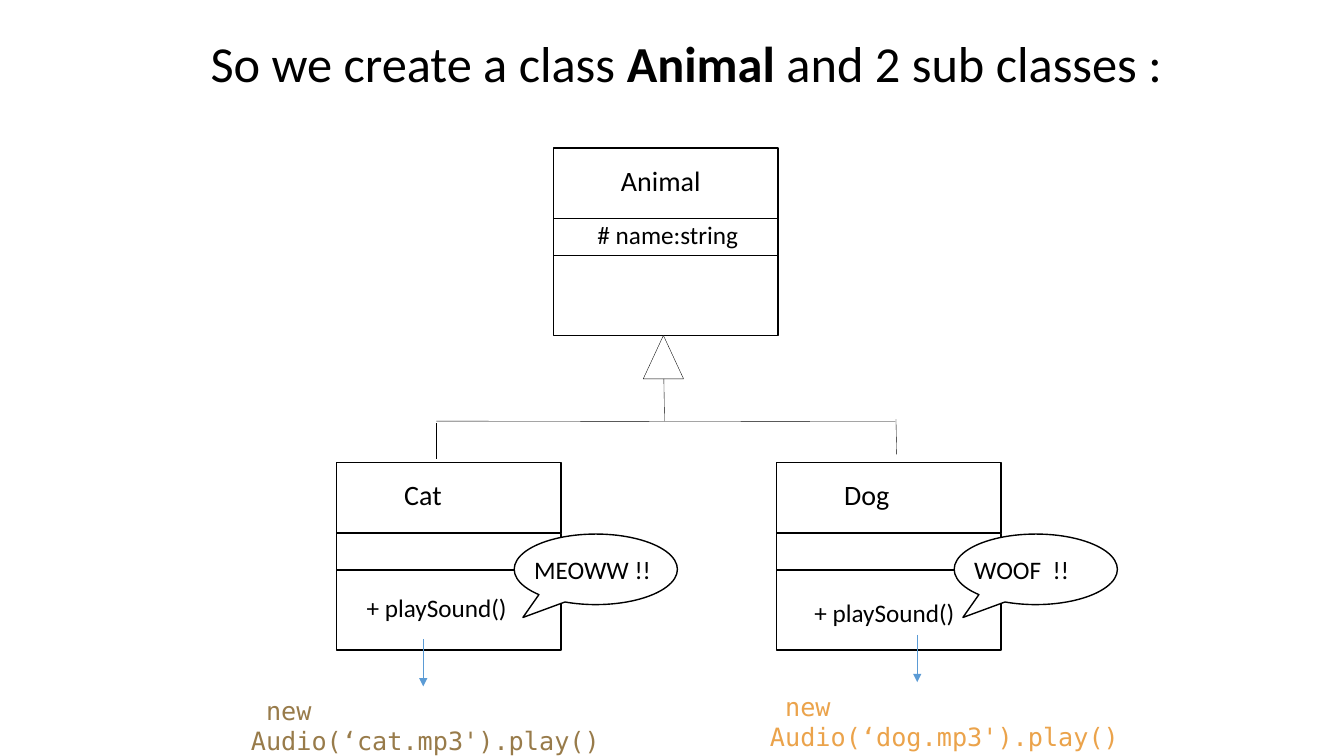
import pptx
import pptx.util
import pptx.dml.color
import pptx.enum.shapes
import pptx.oxml
import pptx.oxml.ns

Pt = pptx.util.Pt
KIND = pptx.enum.shapes.MSO_SHAPE
INK = {"black": "000000", "white": "FFFFFF", "blue": "5B9BD5",
       "cat": "987B4A", "dog": "EBA34B"}
WIDE = 160.5
ROWS = (50.4, 26.4, 56.9)


def color(name):
    """Return the named colour."""
    return pptx.dml.color.RGBColor.from_string(INK[name])


def write(slide, box, runs, size, face="Calibri", ink="black", wrap=False):
    """Place a text box holding (text, bold) runs."""
    frame = slide.shapes.add_textbox(*map(Pt, box)).text_frame
    frame.word_wrap = wrap
    para = frame.paragraphs[0]
    para.font.size = Pt(size)
    para.font.name = face
    para.font.color.rgb = color(ink)
    for text, bold in runs:
        run = para.add_run()
        run.text = text
        if bold:
            run.font.bold = True


def shape(slide, kind, box, width=1):
    """Place a white shape with a black outline."""
    item = slide.shapes.add_shape(kind, *map(Pt, box))
    item.shadow.inherit = False
    item.fill.solid()
    item.fill.fore_color.rgb = color("white")
    item.line.color.rgb = color("black")
    item.line.width = Pt(width)
    return item


def line(slide, start, end, ink="black", width=0.25, arrow=False):
    """Draw a straight line, with an arrowhead at its end if asked."""
    item = slide.shapes.add_connector(
        pptx.enum.shapes.MSO_CONNECTOR.STRAIGHT, *map(Pt, start + end))
    item.line.color.rgb = color(ink)
    item.line.width = Pt(width)
    if arrow:
        head = pptx.oxml.parse_xml(
            f'<a:tailEnd {pptx.oxml.ns.nsdecls("a")} type="triangle"/>')
        item.line._get_or_add_ln().append(head)
    item._element.spPr.append(
        pptx.oxml.parse_xml(f'<a:effectLst {pptx.oxml.ns.nsdecls("a")}/>'))


def title(slide, box):
    """Write the heading with the class name in bold."""
    runs = (("So we create a class ", False), ("Animal", True),
            (" and 2 sub classes :", False))
    write(slide, box, runs, 36)


def card(slide, left, top, name):
    """Draw a class box with three stacked rows and its name."""
    edge = top
    for high in ROWS:
        shape(slide, KIND.RECTANGLE, (left, edge, WIDE, high))
        edge += high
    write(slide, (left + 41.3, top + 7.2, 72, 31.5), [(name, False)], 20)


def parent(slide, left, top):
    """Draw the base class with its field."""
    card(slide, left, top, "Animal")
    write(slide, (left + 24.5, top + 47.4, 116.6, 29),
          [("# name:string", False)], 18)


def child(slide, left, top, name, call, cry, cue, code):
    """Draw a subclass with its method, speech bubble and code."""
    card(slide, left, top, name)
    write(slide, (left + call[0], top + call[1], 118, 29),
          [("+ playSound()", False)], 18)
    x, y = left + 127, top + 51
    bubble = shape(slide, KIND.OVAL_CALLOUT, (x, y, 116.6, 50.4))
    bubble.adjustments[0] = -0.447
    bubble.adjustments[1] = 0.683
    write(slide, (x + 7.2, y + 11, 100, 29), [(cry, False)], 18)
    x, y = left + cue[0], top + cue[1]
    line(slide, (x, y), (x, y + 33.8), "blue", 0.5, True)
    write(slide, (left + code, y + 36.7, 293.8, 29),
          [(f" new Audio(‘{name.lower()}.mp3').play()", False)], 18,
          "DejaVu Sans Mono", name.lower(), True)


def tree(slide, left, top):
    """Draw the inheritance triangle and the branches below it."""
    shape(slide, KIND.ISOSCELES_TRIANGLE, (left, top, 28.8, 31), 0.25)
    stem, bar = left + 15, top + 61.2
    line(slide, (stem - 0.3, top + 31), (stem + 0.2, bar))
    line(slide, (stem - 162.7, bar), (stem + 165, bar + 0.5))
    line(slide, (stem - 163.2, bar + 1.4), (stem - 163.2, bar + 27.3))
    line(slide, (stem + 165.5, bar - 1.4), (stem + 166, bar + 23.8))


def main():
    """Build and save the slide."""
    deck = pptx.Presentation()
    deck.slide_width, deck.slide_height = Pt(960), Pt(540)
    slide = deck.slides.add_slide(deck.slide_layouts[6])
    title(slide, (143.3, 19.4, 697, 51))
    parent(slide, 395.2, 105.8)
    tree(slide, 459.5, 239.6)
    child(slide, 240.3, 330.5, "Cat", (14.5, 89.3), "MEOWW !!",
          (62, 126), -68.2)
    child(slide, 554.6, 330.5, "Dog", (20, 92.9), "WOOF  !!",
          (100.6, 123), -11.7)
    deck.save("out.pptx")


if __name__ == "__main__":
    main()
